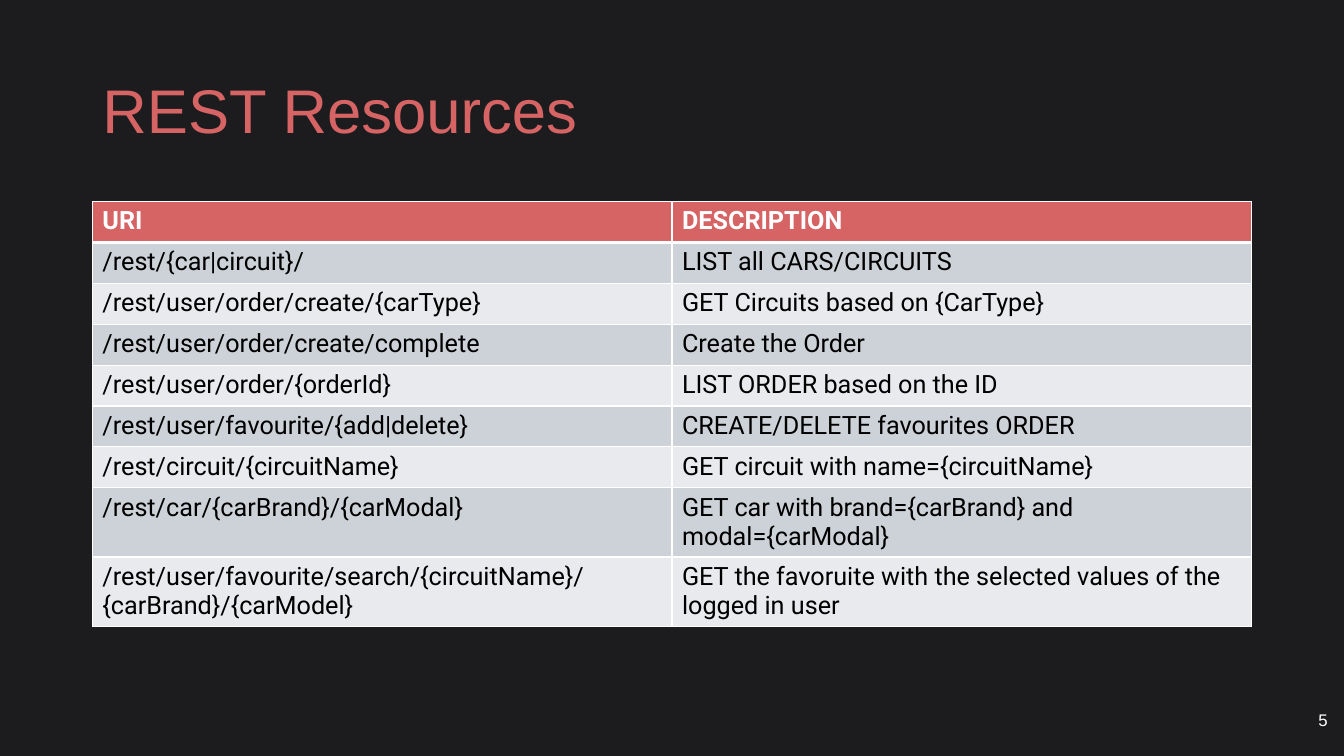
"""Build the REST resources slide with its table of URIs."""
from typing import NamedTuple

from lxml import etree
from pptx import Presentation
from pptx import util as u
from pptx.dml import color
from pptx.enum import text
from pptx.oxml import ns

CORAL, WHITE, BLACK = "D76464", "FFFFFF", "000000"
BANDS = ("CCD2D8", "E8EAED")
LEFT, WIDTH = 66, 828


class Resource(NamedTuple):
    uri: str
    description: str


HEADER = Resource("URI", "DESCRIPTION")
RESOURCES = (
    Resource("/rest/{car|circuit}/", "LIST all CARS/CIRCUITS"),
    Resource("/rest/user/order/create/{carType}", "GET Circuits based on {CarType}"),
    Resource("/rest/user/order/create/complete", "Create the Order"),
    Resource("/rest/user/order/{orderId}", "LIST ORDER based on the ID"),
    Resource("/rest/user/favourite/{add|delete}", "CREATE/DELETE favourites ORDER"),
    Resource("/rest/circuit/{circuitName}", "GET circuit with name={circuitName}"),
    Resource("/rest/car/{carBrand}/{carModal}",
             "GET car with brand={carBrand} and modal={carModal}"),
    Resource("/rest/user/favourite/search/{circuitName}/{carBrand}/{carModel}",
             "GET the favoruite with the selected values of the logged in user"),
)


def paint(target, hex_color: str) -> None:
    target.solid()
    target.fore_color.rgb = color.RGBColor.from_string(hex_color)


def write(frame, words: str, *, size: float, ink: str, font: str = "Arial",
          bold: bool = False, align=text.PP_ALIGN.LEFT, spacing: float = 1.0) -> None:
    para = frame.paragraphs[0]
    para.alignment = align
    para.line_spacing = spacing
    span = para.add_run()
    span.text = words
    span.font.name = font
    span.font.size = u.Pt(size)
    span.font.bold = bold
    paint(span.font.fill, ink)


def place(box, left: float, top: float, width: float, height: float) -> None:
    box.left, box.top = u.Pt(left), u.Pt(top)
    box.width, box.height = u.Pt(width), u.Pt(height)


def add_borders(cell, widths: dict[str, float]) -> None:
    properties = cell._tc.get_or_add_tcPr()
    for position, (side, width) in enumerate(widths.items()):
        line = etree.Element(ns.qn(f"a:{side}"), w=str(u.Pt(width)))
        fill = etree.SubElement(line, ns.qn("a:solidFill"))
        etree.SubElement(fill, ns.qn("a:srgbClr"), val=WHITE)
        properties.insert(position, line)


def fill_row(table, index: int, resource: Resource) -> None:
    is_header = index == 0
    table.rows[index].height = u.Pt(29.2)
    for cell, words in zip(table.rows[index].cells, resource):
        paint(cell.fill, CORAL if is_header else BANDS[(index - 1) % 2])
        write(cell.text_frame, words, size=18, font="Roboto",
              ink=WHITE if is_header else BLACK, bold=is_header)
        add_borders(cell, {"lnL": 1, "lnR": 1, "lnT": 3 if index == 1 else 1,
                           "lnB": 3 if is_header else 1})


def add_resource_table(page) -> None:
    rows = (HEADER, *RESOURCES)
    frame = page.shapes.add_table(len(rows), len(HEADER), u.Pt(LEFT), u.Pt(144),
                                  u.Pt(WIDTH), u.Pt(305))
    for index, resource in enumerate(rows):
        fill_row(frame.table, index, resource)
    frame.height = u.Pt(305)


def main() -> None:
    deck = Presentation()
    deck.slide_width, deck.slide_height = u.Pt(960), u.Pt(540)
    page = deck.slides.add_slide(deck.slide_layouts[5])
    paint(page.background.fill, "1C1C1E")

    title = page.shapes.title
    place(title, LEFT, 28.8, WIDTH, 104.4)
    title.text_frame.vertical_anchor = text.MSO_ANCHOR.MIDDLE
    write(title.text_frame, "REST Resources", size=44, ink=CORAL, spacing=0.9)

    add_resource_table(page)

    number = page.shapes.add_textbox(0, 0, 0, 0)
    place(number, 929.5, 499.7, 31, 28.8)
    number.text_frame.word_wrap = True
    number.text_frame.vertical_anchor = text.MSO_ANCHOR.MIDDLE
    write(number.text_frame, "5", size=12, ink=WHITE, align=text.PP_ALIGN.CENTER)

    deck.save("out.pptx")


if __name__ == "__main__":
    main()
